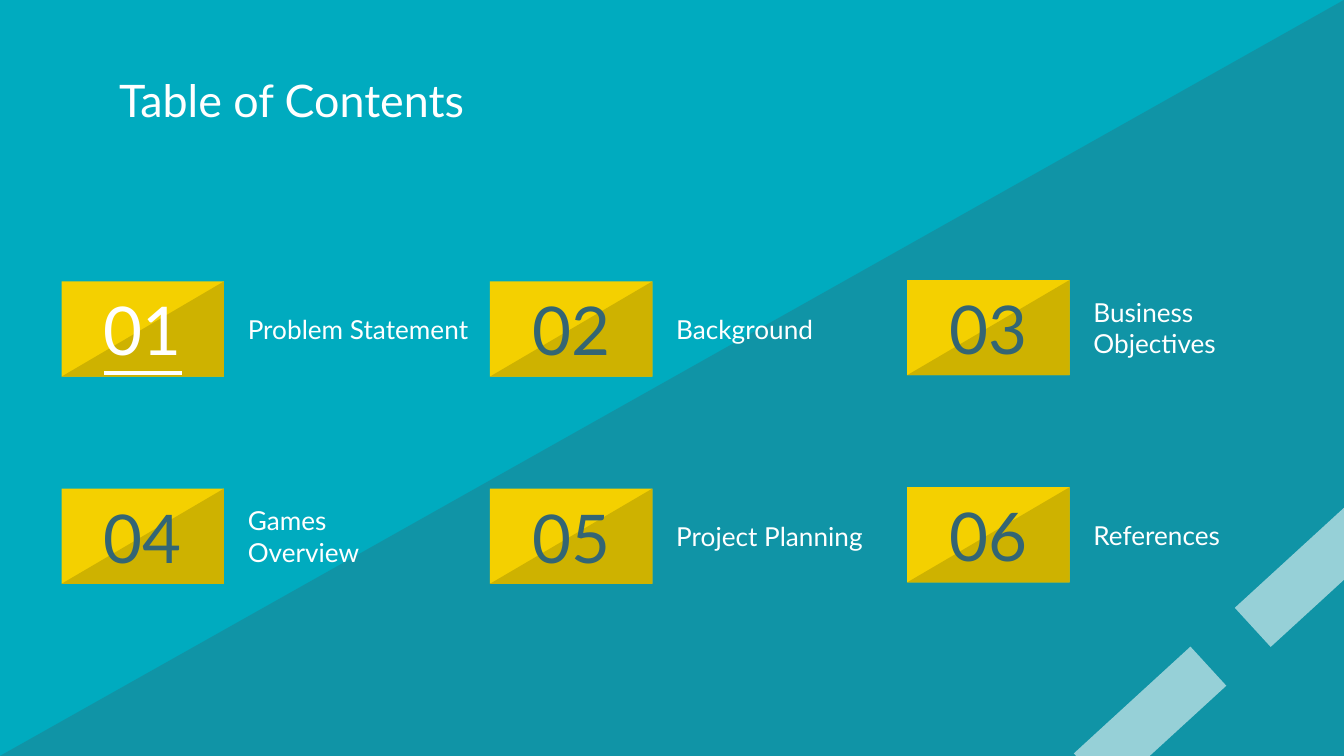
from pptx import Presentation
from pptx.dml.color import RGBColor
from pptx.enum.shapes import MSO_SHAPE
from pptx.enum.text import MSO_ANCHOR, PP_ALIGN
from pptx.oxml.ns import qn
from pptx.util import Pt
from lxml import etree

PX = 9525  # EMU per px, 96 px to the inch
SLIDE_W, SLIDE_H = 960, 540
INSET = 10
FONT = "Lato"

TEAL = RGBColor(0x00, 0xAB, 0xBF)
SLATE = RGBColor(0x33, 0x65, 0x74)
YELLOW = RGBColor(0xF4, 0xD0, 0x00)
GOLD = RGBColor(0xCE, 0xB2, 0x00)
WHITE = RGBColor(0xFF, 0xFF, 0xFF)

RECT, TRIANGLE = MSO_SHAPE.RECTANGLE, MSO_SHAPE.RIGHT_TRIANGLE
MIDDLE = MSO_ANCHOR.MIDDLE
LEFT, CENTER = PP_ALIGN.LEFT, PP_ALIGN.CENTER

CARD_W, CARD_H = 116, 68
LABEL_DX = 123
COLUMNS = [(44, 0), (350, 0), (648, -1)]  # left, vertical nudge
ROWS = [201, 349]
TOPICS = [  # label, label width
    ("Problem Statement", 188), ("Background", 176), ("Business Objectives", 176),
    ("Games Overview", 149), ("Project Planning", 167), ("References", 162),
]


def emu(*lengths):
    return [n * PX for n in lengths]


def add_block(s, kind, box, color, alpha=None, flip=False, rotation=0):
    sp = s.shapes.add_shape(kind, *emu(*box))
    sp.shadow.inherit = False
    sp.line.fill.background()
    sp.fill.solid()
    sp.fill.fore_color.rgb = color
    sp.rotation = rotation
    sp_pr = sp._element.spPr
    if alpha is not None:
        clr = sp_pr.find(qn("a:solidFill")).find(qn("a:srgbClr"))
        etree.SubElement(clr, qn("a:alpha")).set("val", str(alpha * 1000))
    if flip:
        sp_pr.find(qn("a:xfrm")).set("flipH", "1")


def write(sp, text, size, color, align=LEFT, underline=None):
    tf = sp.text_frame
    tf.word_wrap = True
    tf.vertical_anchor = MIDDLE
    tf.margin_left = tf.margin_right = tf.margin_top = tf.margin_bottom = INSET * PX
    p = tf.paragraphs[0]
    p.alignment = align
    r = p.add_run()
    r.text = text
    r.font.name = FONT
    r.font.size = Pt(size)
    r.font.color.rgb = color
    r.font.underline = underline


def add_backdrop(s, x, y, w, h):
    s.background.fill.solid()
    s.background.fill.fore_color.rgb = TEAL
    add_block(s, TRIANGLE, (x, y, w, h), SLATE, alpha=32, flip=True)
    # Diagonal dashes in the bottom right corner
    for dx, dy in [(195, 45), (80, 149)]:
        add_block(s, RECT, (x + w - dx, y + h - dy, 113, 38), WHITE,
                  alpha=56, rotation=317.5)


def add_title(s, x, y, w, h):
    sp = s.shapes.title
    sp.left, sp.top, sp.width, sp.height = emu(x, y, w, h)
    write(sp, "Table of Contents", 24, WHITE)


def add_topic(s, x, y, number, label, label_w, current):
    card = (x, y, CARD_W, CARD_H)
    add_block(s, RECT, card, YELLOW)
    add_block(s, TRIANGLE, card, GOLD, flip=True)
    write(s.shapes.add_textbox(*emu(*card)), f"{number:02d}", 36,
          WHITE if current else SLATE, CENTER, True if current else None)
    label_box = (x + LABEL_DX, y, label_w, CARD_H)
    write(s.shapes.add_textbox(*emu(*label_box)), label, 14, WHITE)


def main():
    prs = Presentation()
    prs.slide_width, prs.slide_height = emu(SLIDE_W, SLIDE_H)
    s = prs.slides.add_slide(prs.slide_layouts[5])

    add_backdrop(s, 0, 0, SLIDE_W, SLIDE_H)
    add_title(s, 75, 41, 810, 60)

    # Topic grid, filled row by row
    for i, (label, label_w) in enumerate(TOPICS):
        row, col = divmod(i, len(COLUMNS))
        x, nudge = COLUMNS[col]
        add_topic(s, x, ROWS[row] + nudge, i + 1, label, label_w, current=i == 0)

    prs.save("out.pptx")


if __name__ == "__main__":
    main()
